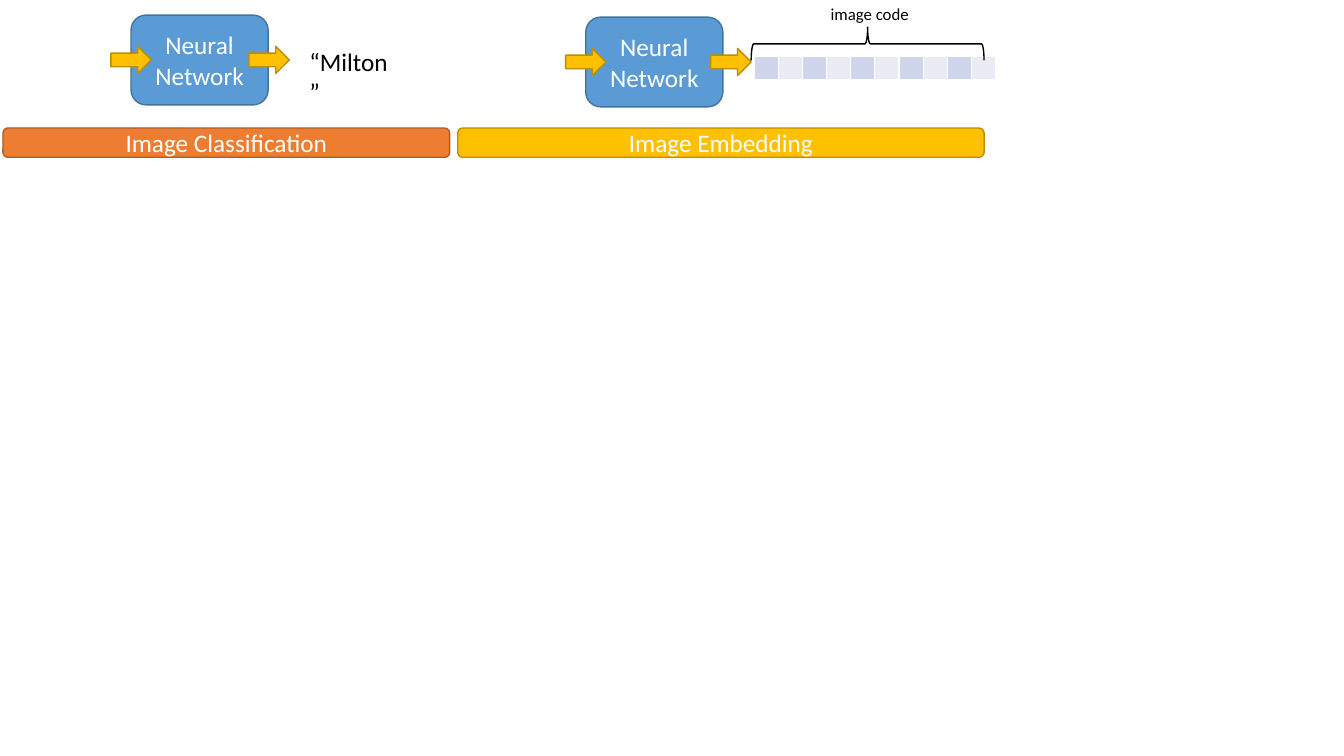
from dataclasses import dataclass

from lxml.etree import SubElement
from pptx import Presentation
from pptx.dml.color import RGBColor
from pptx.enum.shapes import MSO_SHAPE
from pptx.enum.text import MSO_ANCHOR, MSO_AUTO_SIZE, PP_ALIGN
from pptx.oxml import parse_xml
from pptx.oxml.ns import nsdecls, qn
from pptx.shapes.autoshape import Shape
from pptx.slide import Slide
from pptx.table import _Cell
from pptx.text.text import TextFrame
from pptx.util import Inches, Pt

WHITE = RGBColor(0xFF, 0xFF, 0xFF)
BLACK = RGBColor(0x00, 0x00, 0x00)
BLUE = RGBColor(0x5B, 0x9B, 0xD5)
BLUE_EDGE = RGBColor(0x43, 0x73, 0x9E)
GOLD = RGBColor(0xFF, 0xC0, 0x00)
GOLD_EDGE = RGBColor(0xBD, 0x8E, 0x00)
ORANGE = RGBColor(0xED, 0x7D, 0x31)
ORANGE_EDGE = RGBColor(0xAF, 0x5C, 0x24)
CODE_DARK = RGBColor(0xCF, 0xD5, 0xEA)
CODE_LIGHT = RGBColor(0xE9, 0xEB, 0xF5)

FONT = "Calibri"
CODE_LENGTH = 10
CODE_CELL = 0.23


@dataclass
class Box:
    left: float
    top: float
    width: float
    height: float

    def lengths(self) -> tuple:
        return tuple(map(Inches, (self.left, self.top, self.width, self.height)))


@dataclass
class Network:
    box: Box
    text: str
    arrow_lefts: tuple


@dataclass
class Banner:
    box: Box
    text: str
    fill: RGBColor
    edge: RGBColor


@dataclass
class Label:
    box: Box
    text: str
    size: int


NETWORKS = [
    Network(Box(1.3, 0.15, 1.36, 0.89), "Neural\nNetwork", (1.1, 2.47)),
    Network(Box(5.81, 0.17, 1.36, 0.89), "Neural Network", (5.61, 7.05)),
]
BANNERS = [
    Banner(Box(0.03, 1.27, 4.43, 0.29), "Image Classification", ORANGE, ORANGE_EDGE),
    Banner(Box(4.54, 1.27, 5.22, 0.29), "Image Embedding", GOLD, GOLD_EDGE),
]
LABELS = [
    Label(Box(2.97, 0.41, 1.03, 0.4), "“Milton”", 18),
    Label(Box(8.14, -0.01, 2.36, 0.3), "image code", 12),
]


def write(frame: TextFrame, text: str, size: int, color: RGBColor, align: PP_ALIGN) -> None:
    frame.word_wrap = True
    frame.text = text
    for paragraph in frame.paragraphs:
        paragraph.alignment = align
        for run in paragraph.runs:
            run.font.name = FONT
            run.font.size = Pt(size)
            run.font.color.rgb = color


def add_filled(slide: Slide, kind: MSO_SHAPE, box: Box, fill: RGBColor,
               edge: RGBColor, text: str = "") -> Shape:
    shape = slide.shapes.add_shape(kind, *box.lengths())
    shape.shadow.inherit = False
    shape.fill.solid()
    shape.fill.fore_color.rgb = fill
    shape.line.color.rgb = edge
    shape.line.width = Pt(1)
    if text:
        shape.text_frame.vertical_anchor = MSO_ANCHOR.MIDDLE
        write(shape.text_frame, text, 18, WHITE, PP_ALIGN.CENTER)
    return shape


def add_network(slide: Slide, network: Network) -> None:
    add_filled(slide, MSO_SHAPE.ROUNDED_RECTANGLE, network.box, BLUE, BLUE_EDGE, network.text)
    for left in network.arrow_lefts:
        arrow_box = Box(left, network.box.top + 0.31, 0.4, 0.27)
        add_filled(slide, MSO_SHAPE.RIGHT_ARROW, arrow_box, GOLD, GOLD_EDGE)


def add_label(slide: Slide, label: Label) -> None:
    text_box = slide.shapes.add_textbox(*label.box.lengths())
    write(text_box.text_frame, label.text, label.size, BLACK, PP_ALIGN.LEFT)
    text_box.text_frame.auto_size = MSO_AUTO_SIZE.SHAPE_TO_FIT_TEXT


def format_code_cell(cell: _Cell, fill: RGBColor) -> None:
    cell.fill.solid()
    cell.fill.fore_color.rgb = fill
    cell.margin_top = cell.margin_bottom = 0
    # A small end mark keeps the empty row low
    SubElement(cell.text_frame.paragraphs[0]._p, qn("a:endParaRPr"), sz="600")
    properties = cell._tc.get_or_add_tcPr()
    for position, side in enumerate(("lnL", "lnR", "lnT", "lnB")):
        properties.insert(position, parse_xml(
            f'<a:{side} {nsdecls("a")} w="{Pt(1)}"><a:solidFill>'
            f'<a:srgbClr val="{WHITE}"/></a:solidFill></a:{side}>'))


def add_code(slide: Slide) -> None:
    box = Box(7.48, 0.56, CODE_LENGTH * CODE_CELL, CODE_CELL)
    table = slide.shapes.add_table(1, CODE_LENGTH, *box.lengths()).table
    for index, column in enumerate(table.columns):
        column.width = Inches(CODE_CELL)
        format_code_cell(table.cell(0, index), CODE_LIGHT if index % 2 else CODE_DARK)


def add_brace(slide: Slide) -> None:
    brace = slide.shapes.add_shape(MSO_SHAPE.LEFT_BRACE, *Box(8.44, -0.72, 0.33, 2.31).lengths())
    brace.rotation = 90
    brace.adjustments[0] = 0.08
    brace.adjustments[1] = 0.5
    brace.shadow.inherit = False
    brace.fill.background()
    brace.line.color.rgb = BLACK
    brace.line.width = Pt(1)


def main() -> None:
    presentation = Presentation()
    presentation.slide_width = Inches(13.33)
    presentation.slide_height = Inches(7.5)
    slide = presentation.slides.add_slide(presentation.slide_layouts[6])

    # Networks with their input and output arrows
    for network in NETWORKS:
        add_network(slide, network)

    # Task names
    for banner in BANNERS:
        add_filled(slide, MSO_SHAPE.ROUNDED_RECTANGLE, banner.box,
                   banner.fill, banner.edge, banner.text)

    # Image code and output labels
    add_code(slide)
    add_brace(slide)
    for label in LABELS:
        add_label(slide, label)

    presentation.save("out.pptx")


if __name__ == "__main__":
    main()
